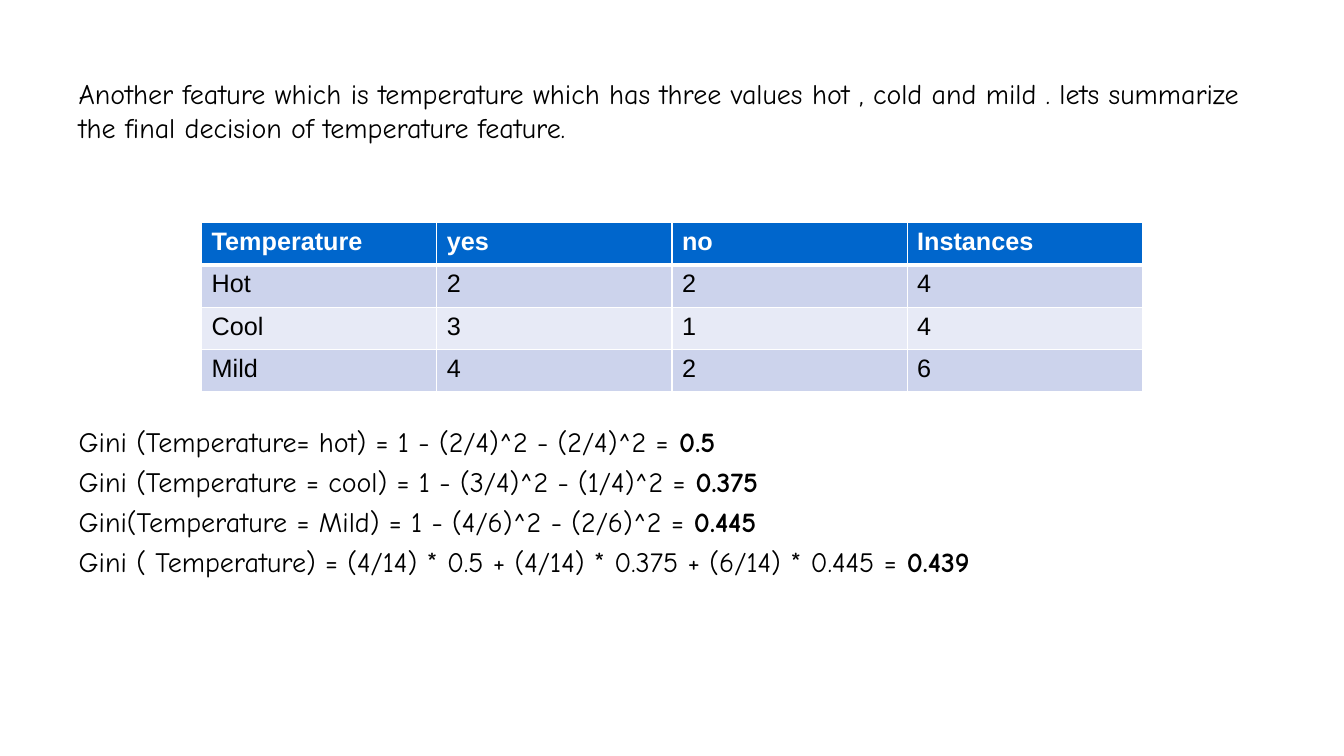
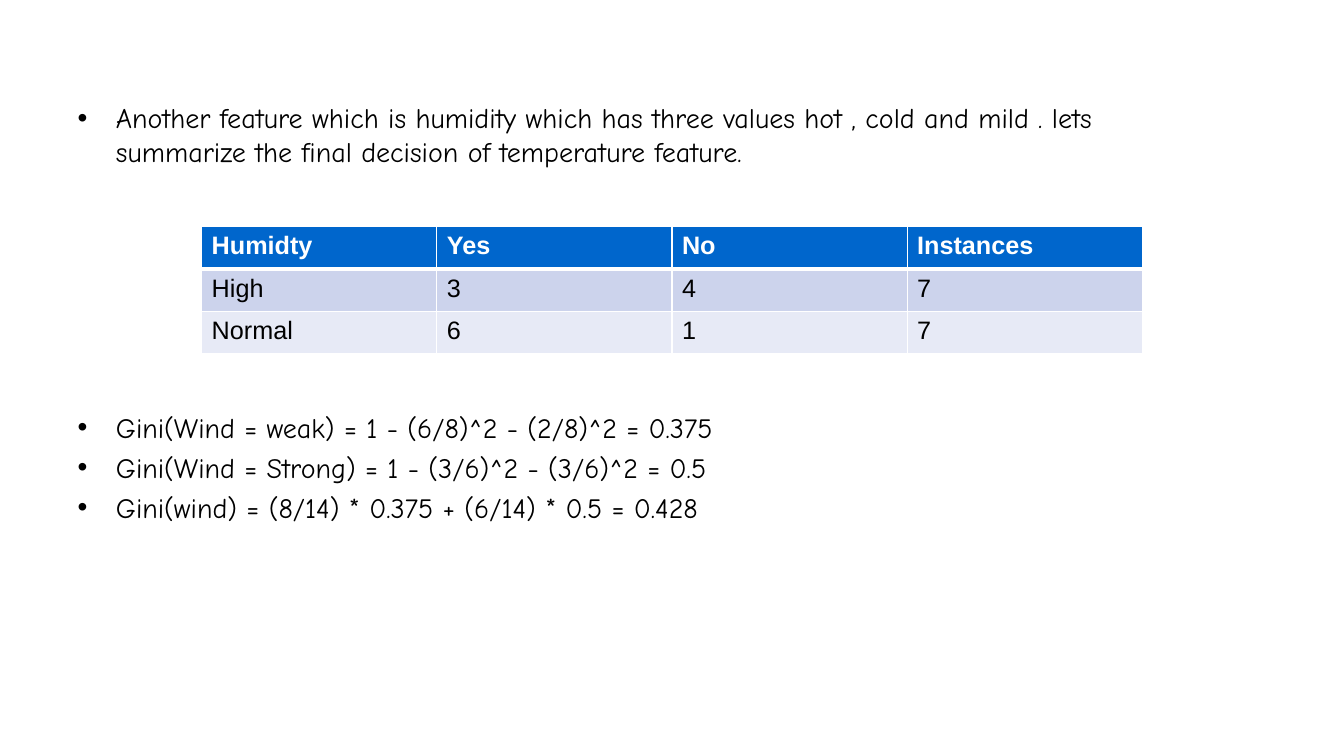
"""Build two slides that work out Gini indexes for decision tree features."""

from dataclasses import dataclass

import pptx
import pptx.dml.color
import pptx.enum.text
import pptx.oxml.ns
import pptx.util
from lxml import etree
from pptx.util import Inches, Pt

COLORS = {
    "text": "000000",
    "header": "0066CC",
    "header_text": "FFFFFF",
    "border": "FFFFFF",
    "odd_row": "CCD3EC",
    "even_row": "E7EAF6",
}
BODY_FONT = "Comic Neue"
TABLE_FONT = "Arial"
TABLE_LEFT, TABLE_WIDTH, ROW_HEIGHT = 2, 9.33, 0.42
BULLET_INDENT = 0.38
LINE_GAP = 4.5


@dataclass(frozen=True)
class Formula:
    expression: str
    result: str = ""


@dataclass(frozen=True)
class Feature:
    box: tuple[float, float, float, float]
    intro: str
    formulas: list[Formula]
    formula_gap: float
    bulleted: bool
    table_top: float
    counts: list[list[str]]


FEATURES = [
    Feature(
        box=(0.68, 0.71, 11.98, 5.99),
        intro="Another feature which is temperature which has three values hot , cold and mild . "
        "lets summarize the final decision of temperature feature.",
        formulas=[
            Formula("Gini (Temperature= hot) = 1 - (2/4)^2 - (2/4)^2 =", " 0.5"),
            Formula("Gini (Temperature = cool) = 1 - (3/4)^2 - (1/4)^2 = ", "0.375"),
            Formula("Gini(Temperature = Mild) = 1 - (4/6)^2 - (2/6)^2 = ", "0.445"),
            Formula("Gini ( Temperature) = (4/14) * 0.5 + (4/14) * 0.375 + (6/14) * 0.445 = ", "0.439"),
        ],
        formula_gap=200.5,
        bulleted=False,
        table_top=2.21,
        counts=[
            ["Temperature", "yes", "no", "Instances"],
            ["Hot", "2", "2", "4"],
            ["Cool", "3", "1", "4"],
            ["Mild", "4", "2", "6"],
        ],
    ),
    Feature(
        box=(0.67, 0.95, 11.58, 5.75),
        intro="Another feature which is humidity which has three values hot , cold and mild . "
        "lets summarize the final decision of temperature feature.",
        formulas=[
            Formula("Gini(Wind = weak) = 1 - (6/8)^2 - (2/8)^2 = 0.375"),
            Formula("Gini(Wind = Strong) = 1 - (3/6)^2 - (3/6)^2 = 0.5"),
            Formula("Gini(wind) = (8/14) * 0.375 + (6/14) * 0.5 = 0.428"),
        ],
        formula_gap=173,
        bulleted=True,
        table_top=2.25,
        counts=[
            ["Humidty", "Yes", "No", "Instances"],
            ["High", "3", "4", "7"],
            ["Normal", "6", "1", "7"],
        ],
    ),
]


def rgb(name: str) -> pptx.dml.color.RGBColor:
    return pptx.dml.color.RGBColor.from_string(COLORS[name])


def set_font(paragraph, family: str, size: float, color: str, bold: bool = False) -> None:
    font = paragraph.font
    font.name, font.size, font.bold = family, Pt(size), bold
    font.color.rgb = rgb(color)


def set_bullet(paragraph, bulleted: bool) -> None:
    indent = Inches(BULLET_INDENT) if bulleted else 0
    properties = paragraph._p.get_or_add_pPr()
    properties.set("marL", str(indent))
    properties.set("indent", str(-indent))
    if bulleted:
        etree.SubElement(properties, pptx.oxml.ns.qn("a:buFont"), typeface="Arial")
        etree.SubElement(properties, pptx.oxml.ns.qn("a:buChar"), char="•")
    else:
        etree.SubElement(properties, pptx.oxml.ns.qn("a:buNone"))


def set_borders(cell, bottom_width: float) -> None:
    properties = cell._tc.get_or_add_tcPr()
    for side, width in (("L", 1), ("R", 1), ("T", 1), ("B", bottom_width)):
        line = etree.SubElement(properties, pptx.oxml.ns.qn(f"a:ln{side}"), w=str(Pt(width)))
        fill = etree.SubElement(line, pptx.oxml.ns.qn("a:solidFill"))
        etree.SubElement(fill, pptx.oxml.ns.qn("a:srgbClr"), val=COLORS["border"])


def fill_body(body, feature: Feature) -> None:
    body.left, body.top, body.width, body.height = map(Inches, feature.box)
    frame = body.text_frame
    frame.auto_size = pptx.enum.text.MSO_AUTO_SIZE.NONE
    frame.vertical_anchor = pptx.enum.text.MSO_ANCHOR.TOP
    gaps = [0, feature.formula_gap] + [LINE_GAP] * (len(feature.formulas) - 1)
    for index, (line, gap) in enumerate(zip([Formula(feature.intro), *feature.formulas], gaps)):
        paragraph = frame.add_paragraph() if index else frame.paragraphs[0]
        set_bullet(paragraph, feature.bulleted)
        paragraph.space_before = Pt(gap)
        set_font(paragraph, BODY_FONT, 20, "text")
        paragraph.add_run().text = line.expression
        if line.result:
            result = paragraph.add_run()
            result.text = line.result
            result.font.bold = True


def add_counts(slide, feature: Feature) -> None:
    rows, columns = len(feature.counts), len(feature.counts[0])
    table = slide.shapes.add_table(
        rows, columns, Inches(TABLE_LEFT), Inches(feature.table_top),
        Inches(TABLE_WIDTH), Inches(ROW_HEIGHT * rows),
    ).table
    for row_index, values in enumerate(feature.counts):
        is_header = row_index == 0
        fill = "header" if is_header else "odd_row" if row_index % 2 else "even_row"
        for column_index, value in enumerate(values):
            cell = table.cell(row_index, column_index)
            set_borders(cell, 3 if is_header else 1)
            cell.fill.solid()
            cell.fill.fore_color.rgb = rgb(fill)
            cell.text = value
            set_font(cell.text_frame.paragraphs[0], TABLE_FONT, 18,
                     "header_text" if is_header else "text", is_header)


def main() -> None:
    deck = pptx.Presentation()
    deck.slide_width, deck.slide_height = Inches(13.33), Inches(7.5)
    for feature in FEATURES:
        slide = deck.slides.add_slide(deck.slide_layouts[1])
        title = slide.shapes.title
        title.element.getparent().remove(title.element)
        fill_body(slide.placeholders[1], feature)
        add_counts(slide, feature)
    deck.save("out.pptx")


if __name__ == "__main__":
    main()
